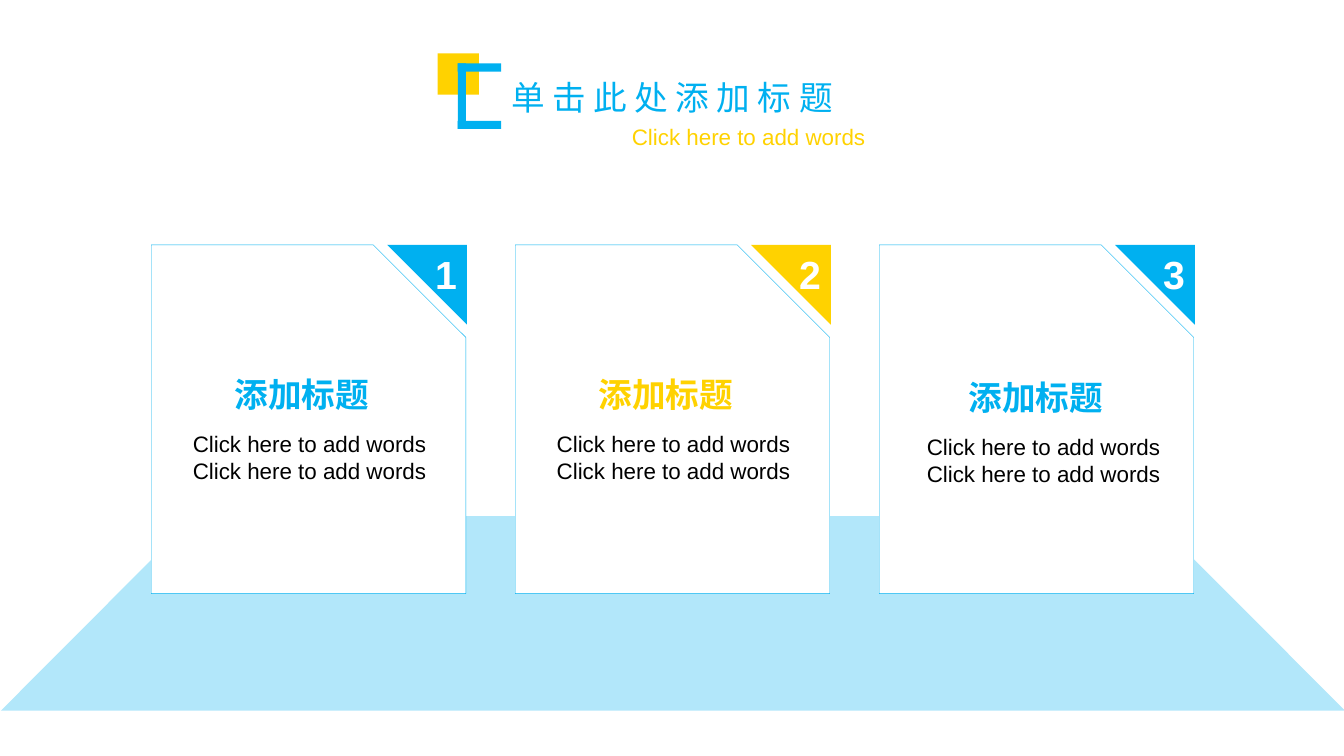
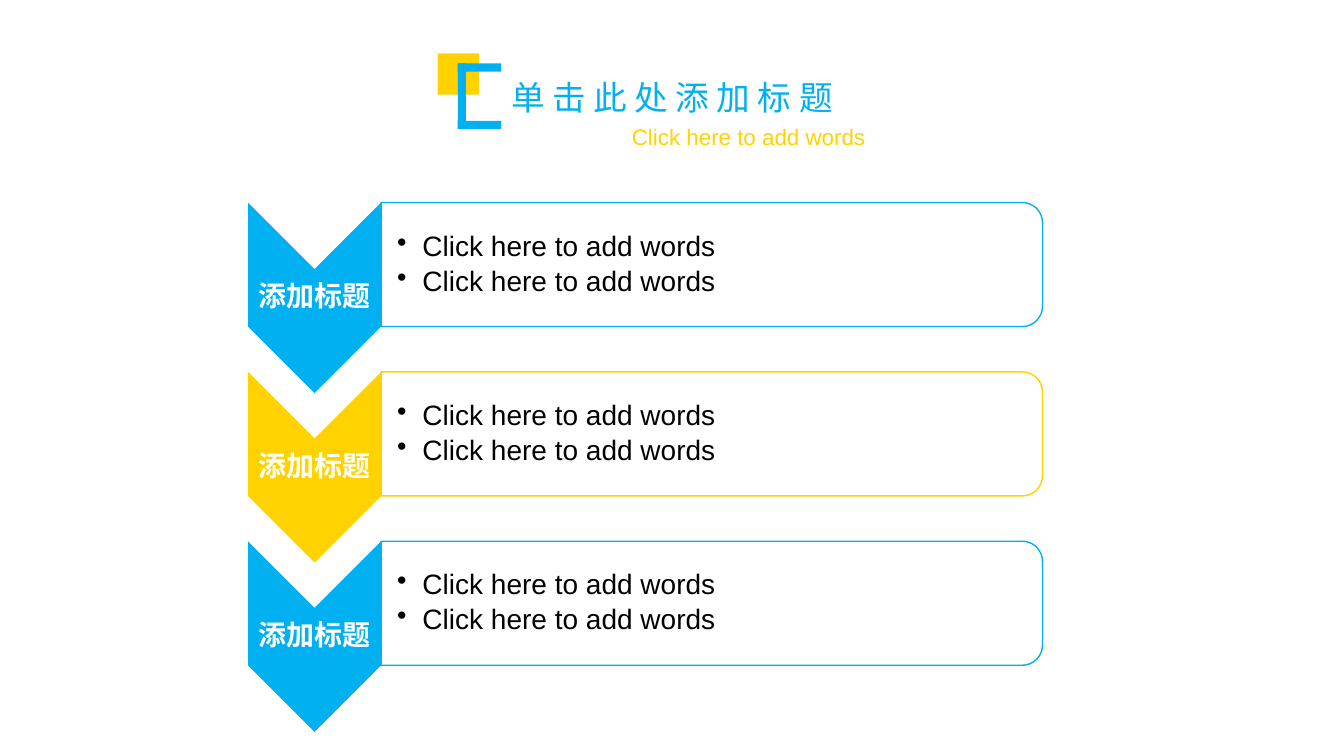
from dataclasses import dataclass
from math import cos, pi, sin

from lxml.etree import SubElement
from pptx import Presentation
from pptx.dml.color import RGBColor
from pptx.enum.shapes import MSO_SHAPE
from pptx.enum.text import MSO_ANCHOR, PP_ALIGN
from pptx.oxml.ns import qn
from pptx.util import Inches, Pt


@dataclass(frozen=True)
class Theme:
    blue: RGBColor = RGBColor(0x00, 0xB0, 0xF0)
    yellow: RGBColor = RGBColor(0xFF, 0xD2, 0x00)
    white: RGBColor = RGBColor(0xFF, 0xFF, 0xFF)
    black: RGBColor = RGBColor(0x00, 0x00, 0x00)
    font: str = "Arial"
    title: int = 24
    body: int = 16
    number: int = 28
    step: int = 20


THEME = Theme()
ACCENTS = [THEME.blue, THEME.yellow, THEME.blue]

TITLE = "单 击 此 处 添 加 标 题"
SUBTITLE = "Click here to add words"
BODY = ["Click here to add words", "Click here to add words"]
# heading, body lines, shift of the text to the right and down
CARDS = [
    ("添加标题", BODY, 0, 0),
    ("添加标题", BODY, 0, 0),
    ("添加标题", BODY, 0.06, 0.03),
]
STEPS = [("添加标题", BODY)] * 3

CARD_LEFT, CARD_TOP, CARD_PITCH = 1.5, 2.43, 3.61
CARD_WIDTH, CARD_HEIGHT, FLAP = 3.12, 3.46, 0.79

STEP_LEFT, STEP_TOP, STEP_PITCH = 2.46, 2.01, 1.68
CHEVRON_WIDTH, CHEVRON_POINT = 1.32, 0.66
PANEL_WIDTH, PANEL_HEIGHT, PANEL_RADIUS = 6.56, 1.23, 0.2


def paint(shape, fill, line=None, line_width=1, opacity=100):
    shape.shadow.inherit = False
    shape.fill.solid()
    shape.fill.fore_color.rgb = fill
    if opacity < 100:
        color = shape.fill._xPr.find(qn("a:solidFill"))[0]
        SubElement(color, qn("a:alpha")).set("val", str(opacity * 1000))
    if line is None:
        shape.line.fill.background()
    else:
        shape.line.color.rgb = line
        shape.line.width = Pt(line_width)


def add_preset(slide, kind, left, top, width, height, fill, **style):
    shape = slide.shapes.add_shape(
        kind, Inches(left), Inches(top), Inches(width), Inches(height))
    paint(shape, fill, **style)
    return shape


def add_outline(slide, points, fill, **style):
    """Draw a closed polygon through points given in inches."""
    corners = [(Inches(x), Inches(y)) for x, y in points]
    builder = slide.shapes.build_freeform(*corners[0])
    builder.add_line_segments(corners[1:], close=True)
    shape = builder.convert_to_shape()
    paint(shape, fill, **style)
    return shape


def write(shape, lines, size, color, bold=False, align=PP_ALIGN.CENTER,
          anchor=MSO_ANCHOR.TOP, insets=(0.1, 0.05, 0.1, 0.05),
          spacing=None, after=None, bulleted=False):
    frame = shape.text_frame
    frame.text = "\n".join(lines)
    frame.word_wrap = True
    frame.vertical_anchor = anchor
    (frame.margin_left, frame.margin_top,
     frame.margin_right, frame.margin_bottom) = map(Inches, insets)
    for paragraph in frame.paragraphs:
        paragraph.alignment = align
        if spacing:
            paragraph.line_spacing = spacing
        if after:
            paragraph.space_after = Pt(after)
        if bulleted:
            add_bullet(paragraph)
        for run in paragraph.runs:
            run.font.name = THEME.font
            run.font.size = Pt(size)
            run.font.bold = bold
            run.font.color.rgb = color


def add_bullet(paragraph, indent=0.25):
    paragraph.level = 1
    properties = paragraph._p.get_or_add_pPr()
    properties.set("marL", str(Inches(indent)))
    properties.set("indent", str(-Inches(indent)))
    SubElement(properties, qn("a:buChar")).set("char", "•")


def add_text(slide, left, top, width, height, lines, size, color, bold=False):
    box = slide.shapes.add_textbox(
        Inches(left), Inches(top), Inches(width), Inches(height))
    write(box, lines, size, color, bold)


def add_header(slide):
    add_text(slide, 4.68, 0.71, 3.97, 0.5, [TITLE], THEME.title, THEME.blue)
    add_text(slide, 5.44, 1.17, 3.97, 0.37, [SUBTITLE], THEME.body, THEME.yellow)
    add_preset(slide, MSO_SHAPE.RECTANGLE, 4.34, 0.53, 0.41, 0.41, THEME.yellow)
    bracket = [(0.63, 0.08, 0.65), (0.63, 0.43, 0.08), (1.2, 0.43, 0.08)]
    for top, width, height in bracket:
        add_preset(slide, MSO_SHAPE.RECTANGLE, 4.54, top, width, height, THEME.blue)


def add_card(slide, index, heading, lines, shift_x, shift_y):
    accent = ACCENTS[index]
    left = CARD_LEFT + index * CARD_PITCH
    card = add_preset(slide, MSO_SHAPE.SNIP_1_RECTANGLE, left, CARD_TOP,
                      CARD_WIDTH, CARD_HEIGHT, THEME.white,
                      line=THEME.blue, line_width=0.25)
    card.adjustments[0] = 0.294
    right = left + CARD_WIDTH + 0.01
    flap = add_outline(slide, [(right, CARD_TOP), (right - FLAP, CARD_TOP),
                               (right, CARD_TOP + FLAP)], accent)
    write(flap, [str(index + 1)], THEME.number, THEME.white, bold=True,
          align=PP_ALIGN.RIGHT)
    text_left, text_top = left + 0.02 + shift_x, CARD_TOP + 1.23 + shift_y
    add_text(slide, text_left, text_top, 2.95, 0.5, [heading],
             THEME.title, accent, bold=True)
    add_text(slide, text_left + 0.02, text_top + 0.56, 3.06, 0.64, lines,
             THEME.body, THEME.black)


def panel_points(left, top):
    """Rectangle with both right corners rounded."""
    right, bottom = left + PANEL_WIDTH, top + PANEL_HEIGHT
    center_x = right - PANEL_RADIUS
    corners = [(top + PANEL_RADIUS, -pi / 2), (bottom - PANEL_RADIUS, 0)]
    arc_steps = 12
    arcs = [
        (center_x + PANEL_RADIUS * cos(start + pi / 2 * i / arc_steps),
         center_y + PANEL_RADIUS * sin(start + pi / 2 * i / arc_steps))
        for center_y, start in corners for i in range(arc_steps + 1)
    ]
    return [(left, top), *arcs, (left, bottom)]


def add_step(slide, index, heading, lines):
    accent = ACCENTS[index]
    left, top = STEP_LEFT, STEP_TOP + index * STEP_PITCH
    middle, right = left + CHEVRON_WIDTH / 2, left + CHEVRON_WIDTH
    bottom = top + PANEL_HEIGHT
    chevron = add_outline(slide, [
        (right, top), (right, bottom), (middle, bottom + CHEVRON_POINT),
        (left, bottom), (left, top), (middle, top + CHEVRON_POINT)], accent)
    write(chevron, [heading], THEME.step, THEME.white, bold=True,
          anchor=MSO_ANCHOR.MIDDLE, insets=(0.01, 0.68, 0.01, 0.68), spacing=0.9)
    panel = add_outline(slide, panel_points(right, top), THEME.white,
                        line=accent, opacity=90)
    write(panel, lines, THEME.step, THEME.black, align=PP_ALIGN.LEFT,
          anchor=MSO_ANCHOR.MIDDLE, insets=(0.16, 0.07, 0.07, 0.07),
          spacing=0.9, after=3.5, bulleted=True)


def build_cards(slide):
    floor = add_preset(slide, MSO_SHAPE.TRAPEZOID, 0.01, 5.12, 13.33, 1.93,
                       THEME.blue, opacity=30)
    floor.adjustments[0] = 0.997
    add_header(slide)
    for index, card in enumerate(CARDS):
        add_card(slide, index, *card)


def build_steps(slide):
    for index, step in enumerate(STEPS):
        add_step(slide, index, *step)
    add_header(slide)


def main():
    deck = Presentation()
    deck.slide_width, deck.slide_height = Inches(13.33), Inches(7.5)
    blank = deck.slide_layouts[6]
    for build in (build_cards, build_steps):
        build(deck.slides.add_slide(blank))
    deck.save("out.pptx")


if __name__ == "__main__":
    main()
